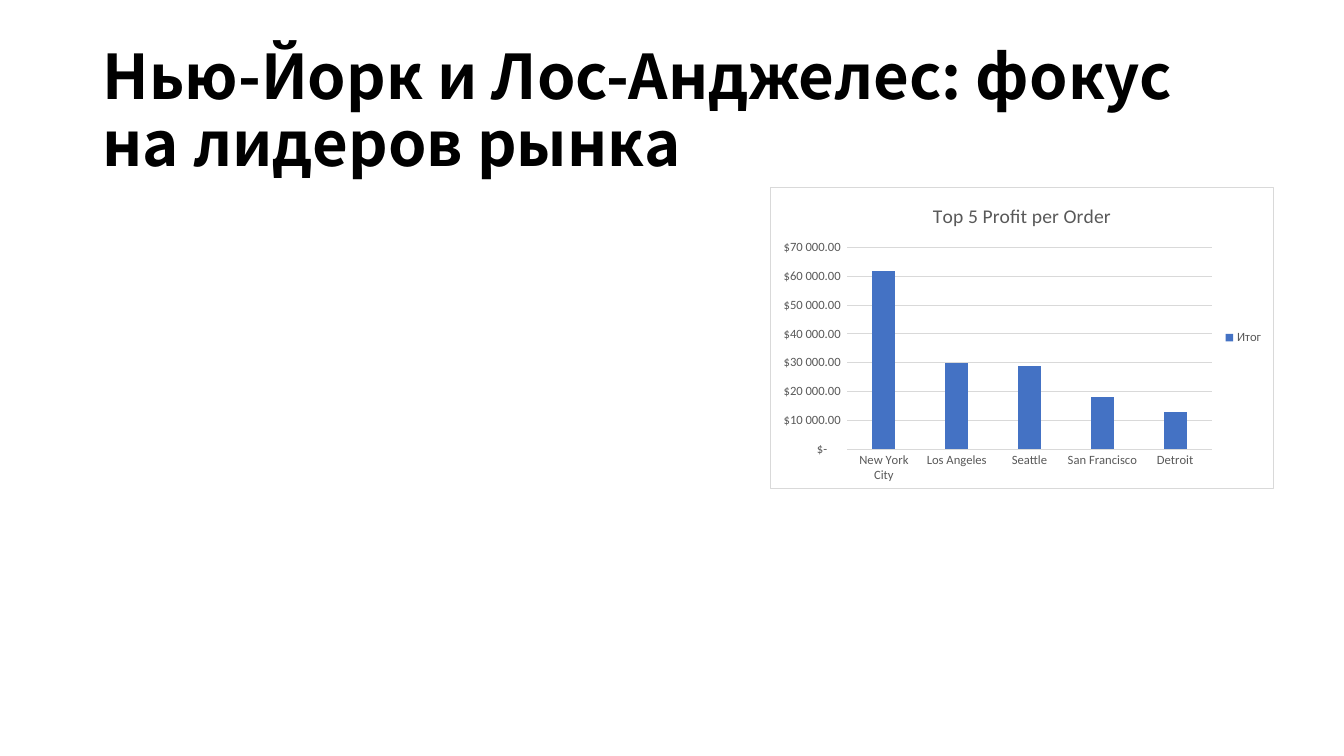
from lxml.etree import fromstring
from pptx import Presentation
from pptx.chart.data import CategoryChartData
from pptx.dml.color import RGBColor
from pptx.enum.chart import XL_CHART_TYPE as ChartType
from pptx.enum.chart import XL_LEGEND_POSITION as LegendPosition
from pptx.enum.chart import XL_TICK_MARK as TickMark
from pptx.enum.text import MSO_ANCHOR as Anchor
from pptx.enum.text import MSO_AUTO_SIZE as AutoSize
from pptx.util import Cm, Pt

BLACK = RGBColor(0x00, 0x00, 0x00)
WHITE = RGBColor(0xFF, 0xFF, 0xFF)
GREY = RGBColor(0x59, 0x59, 0x59)
PALE_GREY = RGBColor(0xD9, 0xD9, 0xD9)
BLUE = RGBColor(0x44, 0x72, 0xC4)

TITLE_FONT = "Noto Sans CJK JP"
CHART_FONT = "Calibri"
DOLLARS = (r'_("$"* #\ ##0.00_);_("$"* \(#\ ##0.00\);'
           r'_("$"* "-"??_);_(@_)')
PROFITS = {
    "New York City": 62000,
    "Los Angeles": 30000,
    "Seattle": 29000,
    "San Francisco": 18000,
    "Detroit": 13000,
}


def set_font(font, name, size, color, bold=False):
    """Set the name, size, colour and weight of a font."""
    font.name = name
    font.size = Pt(size)
    font.color.rgb = color
    font.bold = bold


def set_line(line, color):
    """Give a line its colour and the hairline width of the chart."""
    line.color.rgb = color
    line.width = Pt(0.75)


def add_title(page, text, left, top, width, height):
    """Place the slide title in the given box."""
    title = page.shapes.title
    title.left, title.top, title.width, title.height = left, top, width, height
    frame = title.text_frame
    frame.text = text
    frame.word_wrap = True
    frame.auto_size = AutoSize.NONE
    frame.vertical_anchor = Anchor.MIDDLE
    para = frame.paragraphs[0]
    para.alignment = 1
    para.line_spacing = 0.9
    set_font(para.font, TITLE_FONT, 44, BLACK, bold=True)


def frame_chart(chart, fill, border):
    """Fill the chart area and draw its border."""
    area = fromstring(
        '<c:spPr xmlns:c="http://schemas.openxmlformats.org/drawingml/2006/chart"'
        ' xmlns:a="http://schemas.openxmlformats.org/drawingml/2006/main">'
        f'<a:solidFill><a:srgbClr val="{fill}"/></a:solidFill>'
        f'<a:ln w="{Pt(0.75)}"><a:solidFill><a:srgbClr val="{border}"/>'
        '</a:solidFill></a:ln></c:spPr>'
    )
    chart.font._element.getparent().getparent().getparent().addprevious(area)


def style_axes(chart):
    """Format both axes and the gridlines."""
    for axis in (chart.category_axis, chart.value_axis):
        axis.major_tick_mark = TickMark.NONE
        axis.minor_tick_mark = TickMark.NONE
        set_font(axis.tick_labels.font, CHART_FONT, 9, GREY)
    set_line(chart.category_axis.format.line, PALE_GREY)
    values = chart.value_axis
    values.format.line.fill.background()
    values.has_major_gridlines = True
    set_line(values.major_gridlines.format.line, PALE_GREY)
    values.minimum_scale, values.maximum_scale = 0, 70000
    values.major_unit = 10000
    values.tick_labels.number_format = DOLLARS
    values.tick_labels.number_format_is_linked = False


def add_profit_chart(page, left, top, width, height):
    """Draw the column chart of profit by city in the given box."""
    data = CategoryChartData(number_format=DOLLARS)
    data.categories = PROFITS.keys()
    data.add_series("Итог", PROFITS.values())
    chart = page.shapes.add_chart(
        ChartType.COLUMN_CLUSTERED, left, top, width, height, data
    ).chart
    set_font(chart.font, CHART_FONT, 10, BLACK)
    frame_chart(chart, WHITE, PALE_GREY)

    chart.has_title = True
    heading = chart.chart_title.text_frame
    heading.text = "Top 5 Profit per Order"
    set_font(heading.paragraphs[0].font, CHART_FONT, 14, GREY)

    chart.has_legend = True
    chart.legend.position = LegendPosition.RIGHT
    chart.legend.include_in_layout = False
    set_font(chart.legend.font, CHART_FONT, 9, GREY)

    style_axes(chart)
    plot = chart.plots[0]
    plot.gap_width = 219
    plot.overlap = -27
    plot.vary_by_categories = False
    columns = plot.series[0].format.fill
    columns.solid()
    columns.fore_color.rgb = BLUE


def main():
    """Build the deck and save it."""
    deck = Presentation()
    deck.slide_width, deck.slide_height = Cm(33.87), Cm(19.05)
    page = deck.slides.add_slide(deck.slide_layouts.get_by_name("Title Only"))
    add_title(page, "Нью-Йорк и Лос-Анджелес: фокус на лидеров рынка",
              Cm(2.33), Cm(1.01), Cm(29.21), Cm(3.68))
    add_profit_chart(page, Cm(19.41), Cm(4.7), Cm(12.7), Cm(7.62))
    deck.save("out.pptx")


if __name__ == "__main__":
    main()
